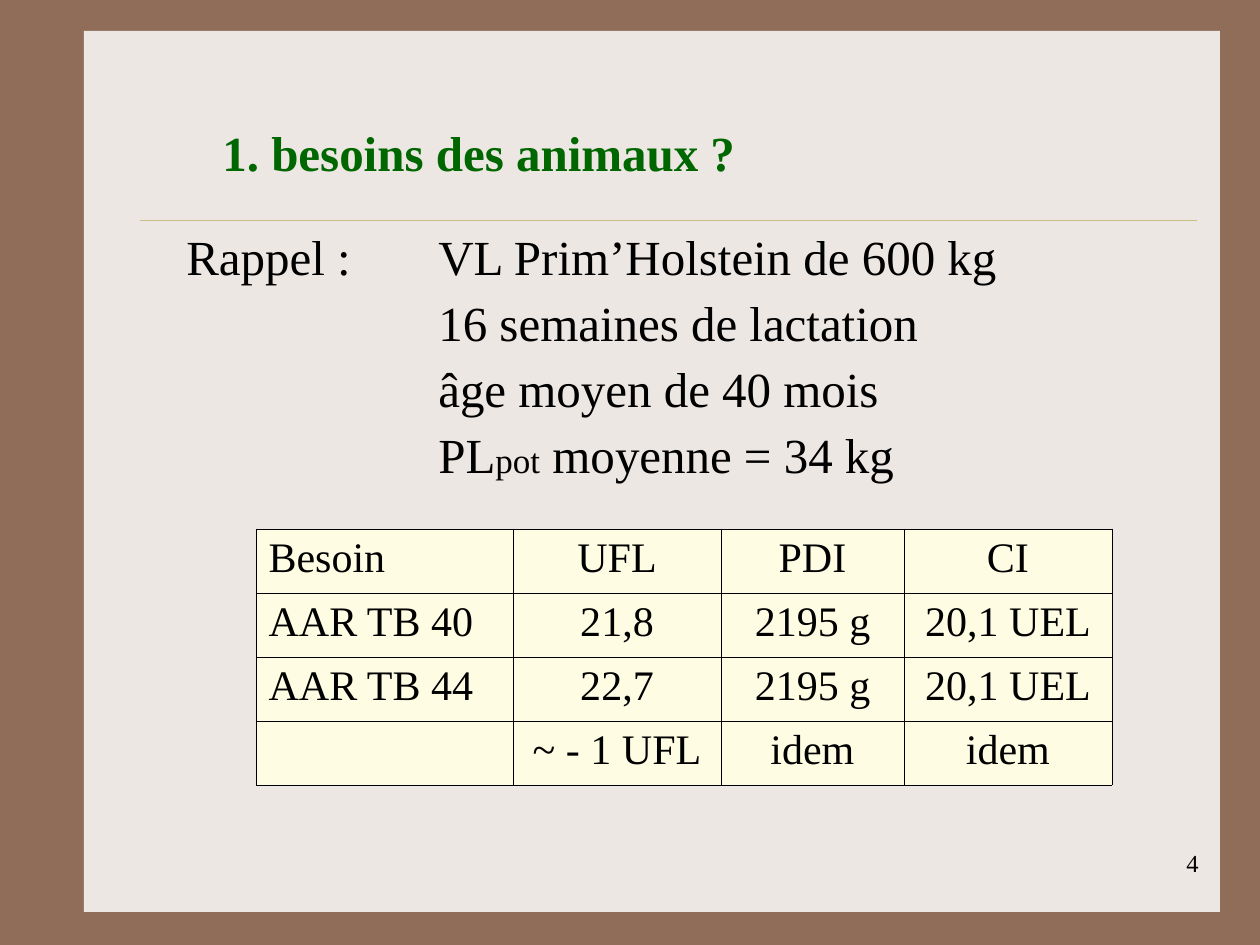
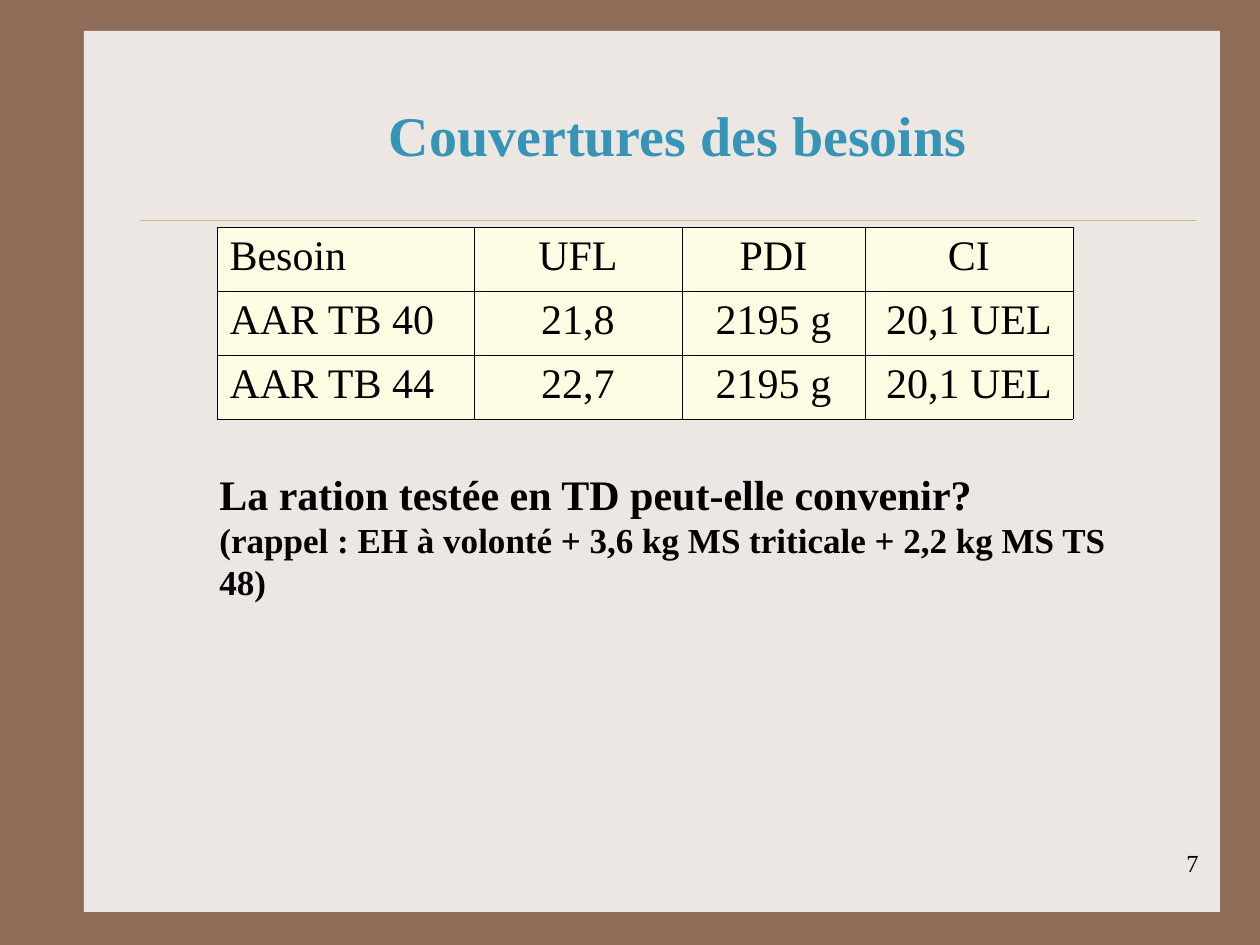
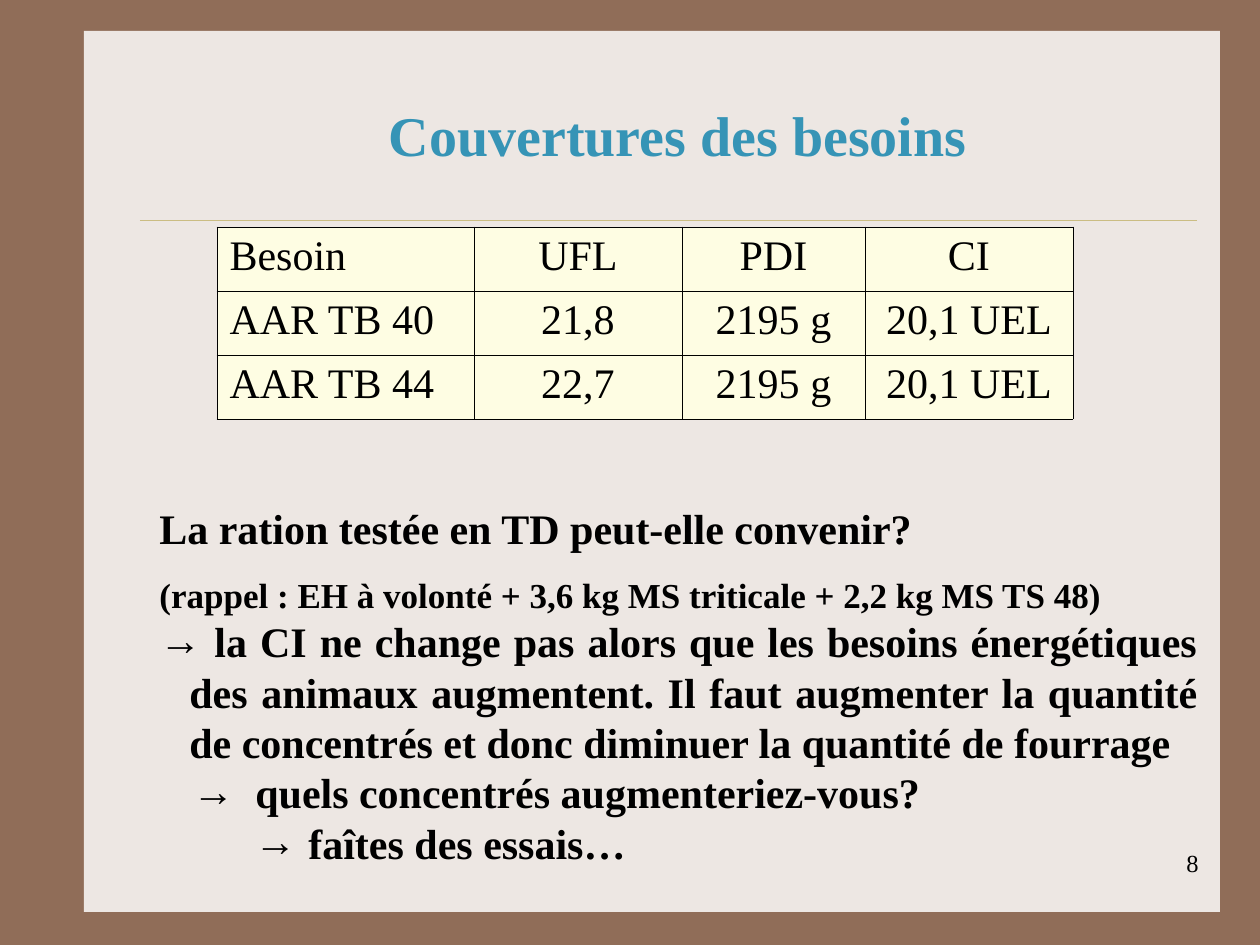
"""Build three slides on the feed needs of dairy cows."""
from dataclasses import dataclass
from lxml.etree import SubElement as Sub
from pptx import Presentation
from pptx.dml.color import RGBColor as RGB
from pptx.enum.shapes import MSO_CONNECTOR as LINK, MSO_SHAPE as SHAPE
from pptx.enum.text import PP_ALIGN as ALIGN
from pptx.oxml.ns import qn
from pptx.util import Pt

NEEDS = [
    ("Besoin", "UFL", "PDI", "CI"),
    ("AAR TB 40", "21,8", "2195 g", "20,1 UEL"),
    ("AAR TB 44", "22,7", "2195 g", "20,1 UEL"),
]
GAP = ("", "~ - 1 UFL", "idem", "idem")
COVER = "Couvertures des besoins"
ASK = "La ration testée en TD peut-elle convenir?"
RECALL = "(rappel : EH à volonté + 3,6 kg MS triticale + 2,2 kg MS TS 48)"
HERD = [
    [("Rappel : \tVL Prim’Holstein de 600 kg", "lead")],
    [("\t\t16 semaines de lactation", "lead")],
    [("\t\tâge moyen de 40 mois", "lead")],
    [("\t\tPL", "lead"), ("pot", "sub"), (" moyenne = 34 kg", "lead")],
]
STEPS = [
    (" la CI ne change pas alors que les besoins énergétiques des animaux "
     "augmentent. Il faut augmenter la quantité de concentrés et donc "
     "diminuer la quantité de fourrage", 30, 30),
    ("quels concentrés augmenteriez-vous?", 96, 63),
    ("faîtes des essais…", 149, 54),
]

PX = 914400 / 126
WIDE, HIGH = 1260, 945
PANEL = (84, 31, 1136, 881)
RULE = (140, 1197, 220)
FOOT = (949, 842, 262, 63)
COLS, ROW = (257, 208, 183, 208), 64
TABS = (126, 252)


@dataclass(frozen=True)
class Theme:
    """Colours, font and type styles of the deck."""
    font: str = "Times New Roman"
    back: str = "906D58"
    panel: str = "EDE7E3"
    rule: str = "CBBD83"
    cell: str = "FEFDE3"
    ink: str = "000000"
    green: str = "006600"
    blue: str = "3694B6"

    def style(self, name):
        """Return size, weight and colour of a type style."""
        return {
            "head": (28, True, self.green),
            "cover": (32, True, self.blue),
            "lead": (28, False, self.ink),
            "sub": (20, False, self.ink),
            "cell": (24, False, self.ink),
            "ask": (24, True, self.ink),
            "note": (20, True, self.ink),
            "foot": (14, False, self.ink),
        }[name]


THEME = Theme()


def emu(*vals):
    """Turn px lengths into EMU."""
    return [round(v * PX) for v in vals]


def paint(fill, tint):
    """Give a fill one solid colour."""
    fill.solid()
    fill.fore_color.rgb = RGB.from_string(tint)


def write(para, runs, align=ALIGN.LEFT, space=None, before=0):
    """Fill a paragraph run by run."""
    para.alignment = align
    if space:
        para.line_spacing = space
    if before:
        para.space_before = Pt(before)
    for text, name in runs:
        run = para.add_run()
        run.text = text
        size, bold, tint = THEME.style(name)
        font = run.font
        font.name, font.size, font.bold = THEME.font, Pt(size), bold
        font.color.rgb = RGB.from_string(tint)


def mark(para, left, hang):
    """Give a paragraph an arrow bullet and a hanging indent."""
    props = para._p.get_or_add_pPr()
    props.set("marL", str(emu(left)[0]))
    props.set("indent", str(emu(-hang)[0]))
    Sub(props, qn("a:buFont"), typeface=THEME.font)
    Sub(props, qn("a:buChar"), char="→")


def tab(para):
    """Set the tab stops of a paragraph."""
    stops = Sub(para._p.get_or_add_pPr(), qn("a:tabLst"))
    for pos in TABS:
        Sub(stops, qn("a:tab"), pos=str(emu(pos)[0]), algn="l")


def box(slide, area):
    """Add a wrapping text box and return a maker of its paragraphs."""
    frame = slide.shapes.add_textbox(*emu(*area)).text_frame
    frame.word_wrap = True
    spare = [frame.paragraphs[0]]
    return lambda: spare.pop() if spare else frame.add_paragraph()


def edge(cell):
    """Draw thin lines on all sides of a cell."""
    props = cell._tc.get_or_add_tcPr()
    for side in "LRTB":
        line = Sub(props, qn(f"a:ln{side}"), w=str(Pt(0.45)))
        Sub(Sub(line, qn("a:solidFill")), qn("a:srgbClr"), val=THEME.ink)


def grid(slide, left, top, rows):
    """Add the table of needs."""
    area = emu(left, top, sum(COLS), ROW * len(rows))
    table = slide.shapes.add_table(len(rows), len(COLS), *area).table
    table.first_row = table.horz_banding = False
    for col, width in zip(table.columns, emu(*COLS)):
        col.width = width
    for r, row in enumerate(rows):
        for c, text in enumerate(row):
            cell = table.cell(r, c)
            edge(cell)
            paint(cell.fill, THEME.cell)
            if text:
                align = ALIGN.CENTER if c else ALIGN.LEFT
                write(cell.text_frame.paragraphs[0], [(text, "cell")], align)


def start(deck, num):
    """Add a slide with panel, rule and number."""
    slide = deck.slides.add_slide(deck.slide_layouts[6])
    panel = slide.shapes.add_shape(SHAPE.RECTANGLE, *emu(*PANEL))
    panel.shadow.inherit = False
    paint(panel.fill, THEME.panel)
    panel.line.fill.background()
    x1, x2, y = RULE
    rule = slide.shapes.add_connector(LINK.STRAIGHT, *emu(x1, y, x2, y))
    rule.line.width = Pt(0.25)
    rule.line.color.rgb = RGB.from_string(THEME.rule)
    Sub(rule._element.spPr, qn("a:effectLst"))
    write(box(slide, FOOT)(), [(str(num), "foot")], ALIGN.RIGHT)
    return slide


def cover(deck, num):
    """Add a slide with the coverage title and table."""
    slide = start(deck, num)
    write(box(slide, (158, 94, 1040, 81))(), [(COVER, "cover")], ALIGN.CENTER)
    grid(slide, 217, 227, NEEDS)
    return slide


def main():
    """Build and save the deck."""
    deck = Presentation()
    deck.slide_width, deck.slide_height = emu(WIDE, HIGH)
    paint(deck.slide_master.background.fill, THEME.back)

    slide = start(deck, 4)
    write(box(slide, (210, 116, 966, 72))(),
          [("1. besoins des animaux ?", "head")])
    grid(slide, 256, 529, NEEDS + [GAP])
    new = box(slide, (174, 241, 998, 246))
    for i, runs in enumerate(HERD):
        para = new()
        tab(para)
        write(para, runs, space=0.6, before=17.5 if i else 0)

    new = box(cover(deck, 7), (207, 462, 966, 189))
    for part in ((ASK, "ask"), (RECALL, "note")):
        write(new(), [part])

    new = box(cover(deck, 8), (147, 471, 1063, 403))
    for part in ((ASK, "ask"), (RECALL, "note")):
        write(new(), [part], ALIGN.JUSTIFY, 1.5)
    for text, left, hang in STEPS:
        para = new()
        mark(para, left, hang)
        write(para, [(text, "ask")], ALIGN.JUSTIFY)

    deck.save("out.pptx")


if __name__ == "__main__":
    main()
